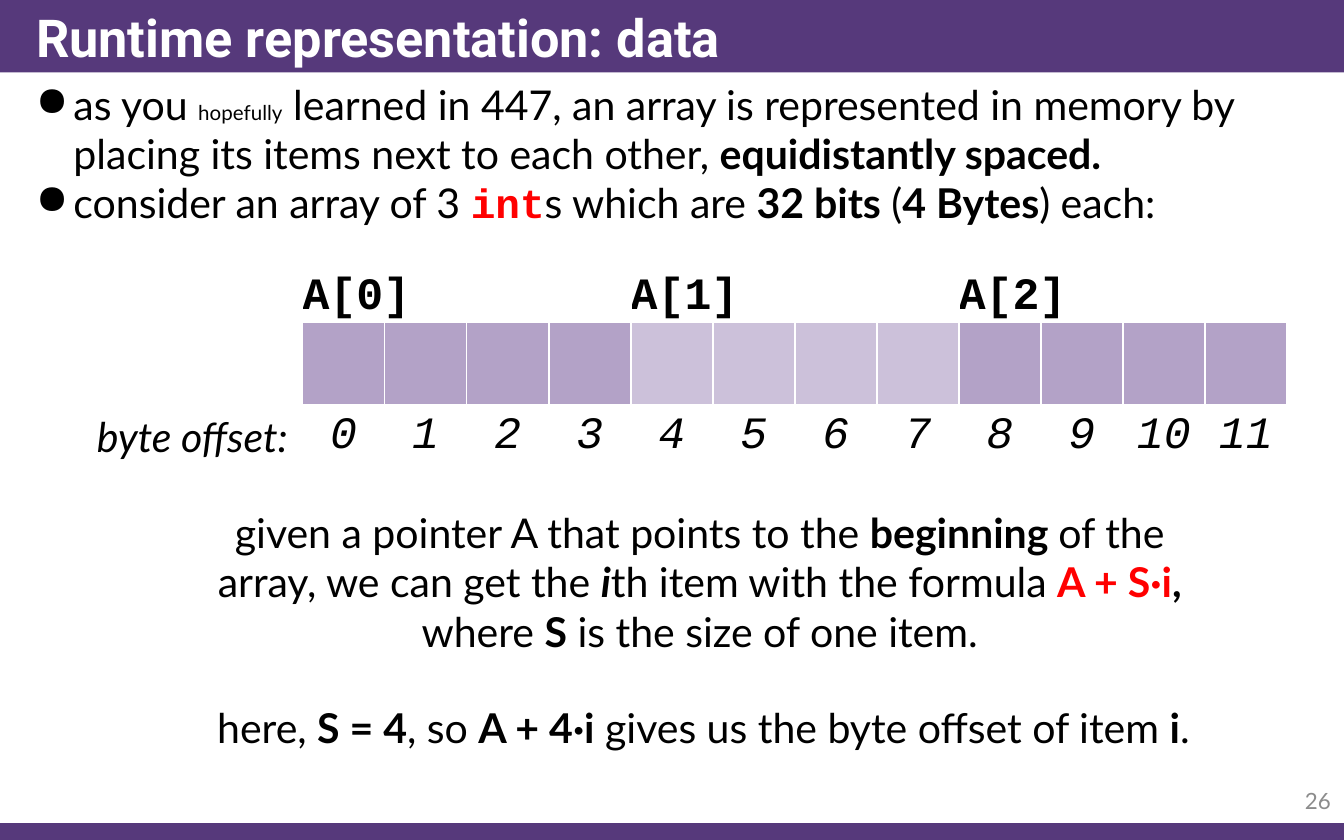
from typing import NamedTuple, Optional

import lxml.etree
import pptx
import pptx.dml.color
import pptx.enum.shapes
import pptx.enum.text
import pptx.oxml.ns
import pptx.util

Cm = pptx.util.Cm
Pt = pptx.util.Pt
RGBColor = pptx.dml.color.RGBColor
Align = pptx.enum.text.PP_ALIGN
Anchor = pptx.enum.text.MSO_ANCHOR
qn = pptx.oxml.ns.qn

PURPLE = RGBColor(0x56, 0x39, 0x7B)
DARK = RGBColor(0xB3, 0xA2, 0xC7)
LIGHT = RGBColor(0xCC, 0xC1, 0xDA)
BLACK = RGBColor(0, 0, 0)
WHITE = RGBColor(255, 255, 255)
RED = RGBColor(255, 0, 0)
GRAY = RGBColor(0x8C, 0x8C, 0x8C)
MONO = "Courier New"
WIDTH, HEIGHT = 25.4, 15.88
ITEMS, BYTES = 3, 4


class Box(NamedTuple):
    left: float
    top: float
    width: float
    height: float


class Span(NamedTuple):
    text: str
    bold: bool = False
    italic: bool = False
    size: float = 22
    face: str = "Lato"
    color: RGBColor = BLACK


class Note(NamedTuple):
    box: Box
    lines: list[list[Span]]
    align: Align = Align.CENTER
    bullet: Optional[str] = None
    anchor: Anchor = Anchor.TOP


def style(run, span: Span) -> None:
    font = run.font
    font.name, font.size = span.face, Pt(span.size)
    font.bold, font.italic = span.bold, span.italic
    font.color.rgb = span.color


def write(para, spans: list[Span], align: Align) -> None:
    para.alignment = align
    for span in spans:
        run = para.add_run()
        run.text = span.text
        style(run, span)


def mark(para, char: str) -> None:
    props = para._p.get_or_add_pPr()
    props.set("marL", str(Cm(0.71)))
    props.set("indent", str(-Cm(0.71)))
    lxml.etree.SubElement(props, qn("a:buChar")).set("char", char)


def place(shape, box: Box) -> None:
    shape.left, shape.top, shape.width, shape.height = map(Cm, box)


def draw_bar(slide, box: Box) -> None:
    kind = pptx.enum.shapes.MSO_SHAPE.RECTANGLE
    bar = slide.shapes.add_shape(kind, *map(Cm, box))
    bar.shadow.inherit = False
    bar.fill.solid()
    bar.fill.fore_color.rgb = PURPLE
    bar.line.fill.background()


def draw_note(slide, note: Note) -> None:
    frame = slide.shapes.add_textbox(*map(Cm, note.box)).text_frame
    frame.word_wrap = True
    frame.vertical_anchor = note.anchor
    for i, spans in enumerate(note.lines):
        para = frame.add_paragraph() if i else frame.paragraphs[0]
        if note.bullet:
            mark(para, note.bullet)
        write(para, spans, note.align)


def edge(cell) -> None:
    props = cell._tc.get_or_add_tcPr()
    for i, side in enumerate(("lnL", "lnR", "lnT", "lnB")):
        line = lxml.etree.Element(qn("a:" + side), w=str(Pt(1)))
        fill = lxml.etree.SubElement(line, qn("a:solidFill"))
        lxml.etree.SubElement(fill, qn("a:srgbClr"), val=str(WHITE))
        props.insert(i, line)


def draw_array(slide, box: Box, rows: list[float]) -> None:
    count = ITEMS * BYTES
    grid = slide.shapes.add_table(len(rows), count, *map(Cm, box)).table
    grid.first_row = grid.horz_banding = False
    for row, size in zip(grid.rows, rows):
        row.height = Cm(size)
    for col in grid.columns:
        col.width = Cm(box.width / count)
    for cell in grid.iter_cells():
        cell.fill.background()
        cell.margin_left = cell.margin_right = 0
        edge(cell)

    # One label per item, one shaded cell and offset per byte
    for i in range(count):
        item, byte = divmod(i, BYTES)
        if byte == 0:
            head = grid.cell(0, i)
            head.merge(grid.cell(0, i + BYTES - 1))
            head.margin_top = head.margin_bottom = 0
            head.vertical_anchor = Anchor.BOTTOM
            name = Span(f"A[{item}]", bold=True, size=24, face=MONO)
            write(head.text_frame.paragraphs[0], [name], Align.LEFT)
        fill = grid.cell(1, i).fill
        fill.solid()
        fill.fore_color.rgb = LIGHT if item % 2 else DARK
        mark_at = Span(str(i), italic=True, size=24, face=MONO)
        write(grid.cell(2, i).text_frame.paragraphs[0], [mark_at], Align.CENTER)


NOTES = [
    Note(Box(0.43, 1.37, 24.97, 3.38), [
        [Span("as you "), Span("hopefully", size=11),
         Span(" learned in 447, an array is represented in memory by "
              "placing its items next to each other, "),
         Span("equidistantly spaced.", bold=True)],
        [Span("consider an array of 3 "),
         Span("int", bold=True, face=MONO, color=RED),
         Span("s which are "), Span("32 bits", bold=True), Span(" ("),
         Span("4 Bytes", bold=True), Span(") each:")],
    ], Align.LEFT, "●"),
    Note(Box(23.5, 14.71, 1.9, 0.84), [[Span("26", size=12, color=GRAY)]],
         Align.RIGHT, anchor=Anchor.MIDDLE),
    Note(Box(0.41, 7.65, 5.28, 1.19), [[Span("byte offset:", italic=True)]],
         Align.RIGHT),
    Note(Box(3.18, 9.47, 20.09, 3.07), [
        [Span("given a pointer A that points to the "),
         Span("beginning ", bold=True), Span("of the array, we can get the "),
         Span("i", bold=True, italic=True), Span("th item with the formula "),
         Span("A + S·i", bold=True, color=RED), Span(", ", bold=True),
         Span("where "), Span("S", bold=True),
         Span(" is the size of one item.")],
    ]),
    Note(Box(3.25, 13.16, 20.09, 1.19), [
        [Span("here, "), Span("S = 4", bold=True), Span(", so "),
         Span("A + 4·i", bold=True),
         Span(" gives us the byte offset of item "),
         Span("i", bold=True), Span(".")],
    ]),
]


def main() -> None:
    deck = pptx.Presentation()
    deck.slide_width, deck.slide_height = Cm(WIDTH), Cm(HEIGHT)
    slide = deck.slides.add_slide(deck.slide_layouts[5])

    # Bars, with the title brought in front of them
    draw_bar(slide, Box(0, HEIGHT - 0.32, WIDTH, 0.32))
    draw_bar(slide, Box(0, 0, WIDTH, 1.37))
    title = slide.shapes.title
    slide.shapes._spTree.append(title._element)
    place(title, Box(0.43, 0, 24.97, 1.37))
    frame = title.text_frame
    frame.text = "Runtime representation: data"
    frame.auto_size = pptx.enum.text.MSO_AUTO_SIZE.NONE
    frame.vertical_anchor = Anchor.MIDDLE
    para = frame.paragraphs[0]
    para.alignment = Align.LEFT
    style(para.runs[0], Span("", bold=True, size=28, face="Roboto", color=WHITE))

    # Array diagram and text
    draw_array(slide, Box(5.72, 4.55, 18.6, 4.4), [1.55, 1.55, 1.1])
    for note in NOTES:
        draw_note(slide, note)
    deck.save("out.pptx")


if __name__ == "__main__":
    main()
